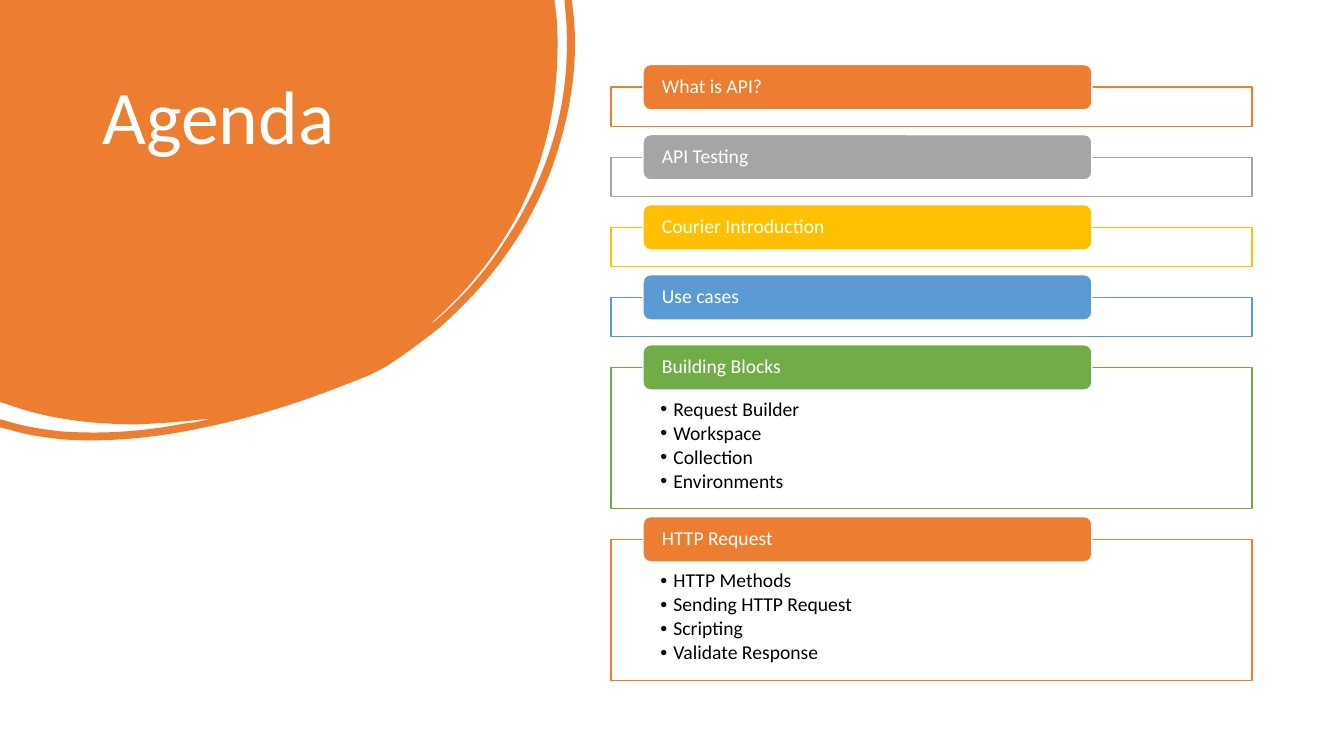
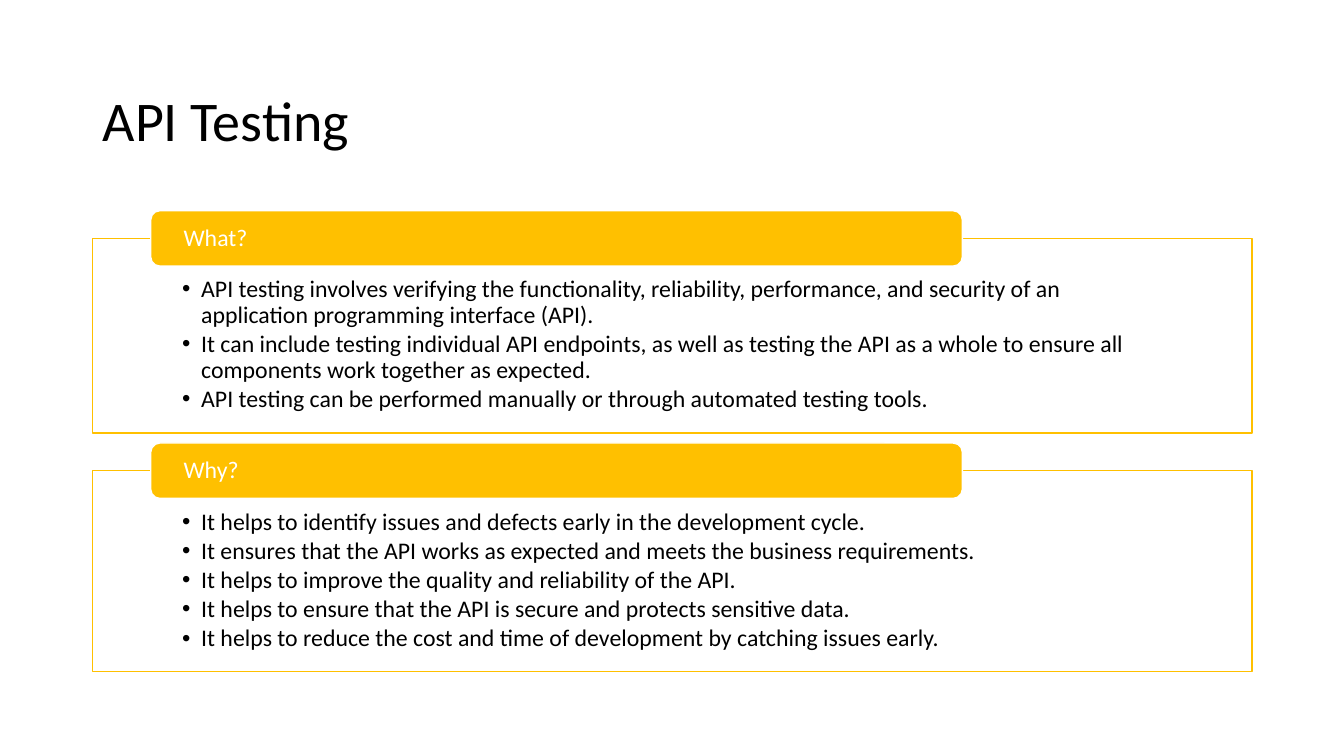
from dataclasses import dataclass

from lxml.etree import SubElement
from pptx import Presentation
from pptx.dml.color import RGBColor
from pptx.enum.shapes import MSO_SHAPE
from pptx.enum.text import MSO_ANCHOR, PP_ALIGN
from pptx.oxml.ns import qn
from pptx.util import Inches, Pt


@dataclass(frozen=True)
class Theme:
    """Colours, font and type sizes shared by the slides."""
    orange: str = "ED7D31"
    gray: str = "A5A5A5"
    gold: str = "FFC000"
    blue: str = "5B9BD5"
    green: str = "70AD47"
    white: str = "FFFFFF"
    black: str = "000000"
    font: str = "Calibri"
    agenda_title: int = 54
    title: int = 40
    agenda_text: int = 14
    text: int = 17
    line_spacing: float = 0.9
    bullet_gap: float = 0.145


THEME = Theme()

# Outline in inches: a pair is a straight line, six numbers are a Bézier curve.
SWOOSH_SIZE = (5.71, 4.37)
SWOOSH = [
    (0, 0), (5.5, 0), (5.52, 0.17),
    (5.53, 0.26, 5.53, 0.36, 5.53, 0.45), (5.53, 1.01, 5.42, 1.54, 5.18, 2.04),
    (4.96, 2.49, 4.65, 2.88, 4.27, 3.21), (4.29, 3.21, 4.3, 3.19, 4.32, 3.18),
    (4.59, 2.95, 4.82, 2.69, 5.01, 2.39), (5.43, 1.76, 5.65, 1.07, 5.62, 0.3),
    (5.62, 0.21, 5.61, 0.12, 5.6, 0.03), (5.6, 0), (5.67, 0), (5.68, 0.07),
    (5.74, 0.54, 5.68, 1.02, 5.53, 1.5), (5.33, 2.14, 4.97, 2.68, 4.48, 3.14),
    (4.39, 3.23, 4.29, 3.31, 4.19, 3.38), (4.09, 3.46, 3.99, 3.53, 3.87, 3.61),
    (3.75, 3.69, 3.6, 3.75, 3.44, 3.81), (2.99, 3.99, 2.52, 4.14, 2.03, 4.24),
    (1.57, 4.34, 1.1, 4.39, 0.63, 4.36), (0.45, 4.34, 0.28, 4.32, 0.12, 4.27),
    (0, 4.24), (0, 4.16), (0.04, 4.17),
    (0.23, 4.23, 0.42, 4.26, 0.61, 4.28), (1.03, 4.31, 1.43, 4.28, 1.84, 4.2),
    (1.89, 4.2, 1.93, 4.19, 1.98, 4.18), (2.02, 4.17, 2.06, 4.16, 2.1, 4.15),
    (1.86, 4.18, 1.61, 4.2, 1.36, 4.21), (0.92, 4.21, 0.48, 4.16, 0.07, 4.01),
    (0, 3.99),
]

AGENDA = [
    ("What is API?", THEME.orange, 0.39, []),
    ("API Testing", THEME.gray, 0.39, []),
    ("Courier Introduction", THEME.gold, 0.39, []),
    ("Use cases", THEME.blue, 0.39, []),
    ("Building Blocks", THEME.green, 1.4,
     ["Request Builder", "Workspace", "Collection", "Environments"]),
    ("HTTP Request", THEME.orange, 1.4,
     ["HTTP Methods", "Sending HTTP Request", "Scripting", "Validate Response"]),
]

API_TESTING = [
    ("What?", THEME.gold, 1.93, [
        "API testing involves verifying the functionality, reliability, performance, "
        "and security of an application programming interface (API).",
        "It can include testing individual API endpoints, as well as testing the API "
        "as a whole to ensure all components work together as expected.",
        "API testing can be performed manually or through automated testing tools.",
    ]),
    ("Why?", THEME.gold, 1.99, [
        "It helps to identify issues and defects early in the development cycle.",
        "It ensures that the API works as expected and meets the business requirements.",
        "It helps to improve the quality and reliability of the API.",
        "It helps to ensure that the API is secure and protects sensitive data.",
        "It helps to reduce the cost and time of development by catching issues early.",
    ]),
]


def write(frame, lines, size, color, anchor=MSO_ANCHOR.TOP,
          insets=(0.1, 0.05, 0.1, 0.05), bullet_indent=0):
    """Fill a text frame with one paragraph per line, bulleted if indented."""
    frame.word_wrap = True
    frame.vertical_anchor = anchor
    (frame.margin_left, frame.margin_top,
     frame.margin_right, frame.margin_bottom) = map(Inches, insets)
    for index, line in enumerate(lines):
        paragraph = frame.add_paragraph() if index else frame.paragraphs[0]
        paragraph.alignment = PP_ALIGN.LEFT
        paragraph.line_spacing = THEME.line_spacing
        run = paragraph.add_run()
        run.text = line
        run.font.name = THEME.font
        run.font.size = Pt(size)
        run.font.color.rgb = RGBColor.from_string(color)
        if bullet_indent:
            paragraph.space_after = Pt(round(size * THEME.bullet_gap, 1))
            properties = paragraph._p.get_or_add_pPr()
            properties.set("marL", str(Inches(bullet_indent)))
            properties.set("indent", str(-Inches(bullet_indent)))
            SubElement(properties, qn("a:buFont"), typeface="Arial")
            SubElement(properties, qn("a:buChar"), char="•")


def paint(shape, fill, line=None):
    """Give a shape a flat fill and an optional thin outline."""
    shape.shadow.inherit = False
    shape.fill.solid()
    shape.fill.fore_color.rgb = RGBColor.from_string(fill)
    if line:
        shape.line.color.rgb = RGBColor.from_string(line)
        shape.line.width = Pt(1)
    else:
        shape.line.fill.background()


def add_title(slide, box, title, **text_format):
    """Place the slide title in the box."""
    title_box = slide.shapes.add_textbox(*map(Inches, box))
    write(title_box.text_frame, [title], **text_format)


def add_swoosh(slide, left, top):
    """Draw the rounded corner panel with its brush edge."""
    units = 1000
    segments = [[round(value * units) for value in segment] for segment in SWOOSH]
    builder = slide.shapes.build_freeform(*segments[0], scale=Inches(1) / units)
    builder.add_line_segments([segment[-2:] for segment in segments[1:]], close=True)
    swoosh = builder.convert_to_shape(Inches(left), Inches(top))
    swoosh.width, swoosh.height = map(Inches, SWOOSH_SIZE)

    outline = swoosh._element.find(".//" + qn("a:path"))
    for side, length in zip("wh", SWOOSH_SIZE):
        outline.set(side, str(round(length * units)))
    for edge, segment in zip(outline.findall(qn("a:lnTo")), segments[1:]):
        if len(segment) == 6:
            edge.tag = qn("a:cubicBezTo")
            edge.remove(edge[0])
            for x, y in zip(segment[::2], segment[1::2]):
                SubElement(edge, qn("a:pt"), x=str(x), y=str(y))
    paint(swoosh, THEME.orange)


def add_section(slide, box, tab_height, heading, accent, bullets, size, bullet_indent):
    """Draw a framed list whose heading tab straddles the frame's top edge."""
    left, top, width, height = box
    frame = slide.shapes.add_shape(MSO_SHAPE.RECTANGLE, *map(Inches, box))
    paint(frame, THEME.white, accent)
    SubElement(frame.fill._xPr.find(".//" + qn("a:srgbClr")), qn("a:alpha"), val="90000")
    side = 0.077 * width
    write(frame.text_frame, bullets, size, THEME.black,
          insets=(side, 0.7 * tab_height, side, 0.1), bullet_indent=bullet_indent)

    tab = slide.shapes.add_shape(
        MSO_SHAPE.ROUNDED_RECTANGLE, Inches(left + 0.05 * width),
        Inches(top - tab_height / 2), Inches(0.7 * width), Inches(tab_height))
    paint(tab, accent, THEME.white)
    side = 0.026 * width
    write(tab.text_frame, [heading], size, THEME.white, MSO_ANCHOR.MIDDLE,
          insets=(side, 0, side, 0))


def add_sections(slide, left, top, width, sections, tab_height, gap, **text_format):
    """Stack sections downwards, each starting a fixed gap below the last."""
    for heading, accent, height, bullets in sections:
        top += tab_height / 2
        add_section(slide, (left, top, width, height), tab_height,
                    heading, accent, bullets, **text_format)
        top += height + gap


def build_agenda(slide):
    """Build the agenda slide."""
    add_swoosh(slide, 0, 0)
    add_title(slide, (0.92, 0.74, 3.52, 2.22), "Agenda",
              size=THEME.agenda_title, color=THEME.white)
    add_sections(slide, 6.06, 0.64, 6.36, AGENDA, tab_height=0.45, gap=0.08,
                 size=THEME.agenda_text, bullet_indent=0.13)


def build_api_testing(slide):
    """Build the slide on what API testing is and why it matters."""
    add_title(slide, (0.92, 0.6, 11.5, 1.25), "API Testing",
              size=THEME.title, color=THEME.black, anchor=MSO_ANCHOR.MIDDLE)
    add_sections(slide, 0.92, 2.09, 11.5, API_TESTING, tab_height=0.55, gap=0.1,
                 size=THEME.text, bullet_indent=0.19)


def main():
    """Build and save the presentation."""
    deck = Presentation()
    deck.slide_width = Inches(13.33)
    deck.slide_height = Inches(7.5)
    for build in (build_agenda, build_api_testing):
        build(deck.slides.add_slide(deck.slide_layouts[6]))
    deck.save("out.pptx")


main()
